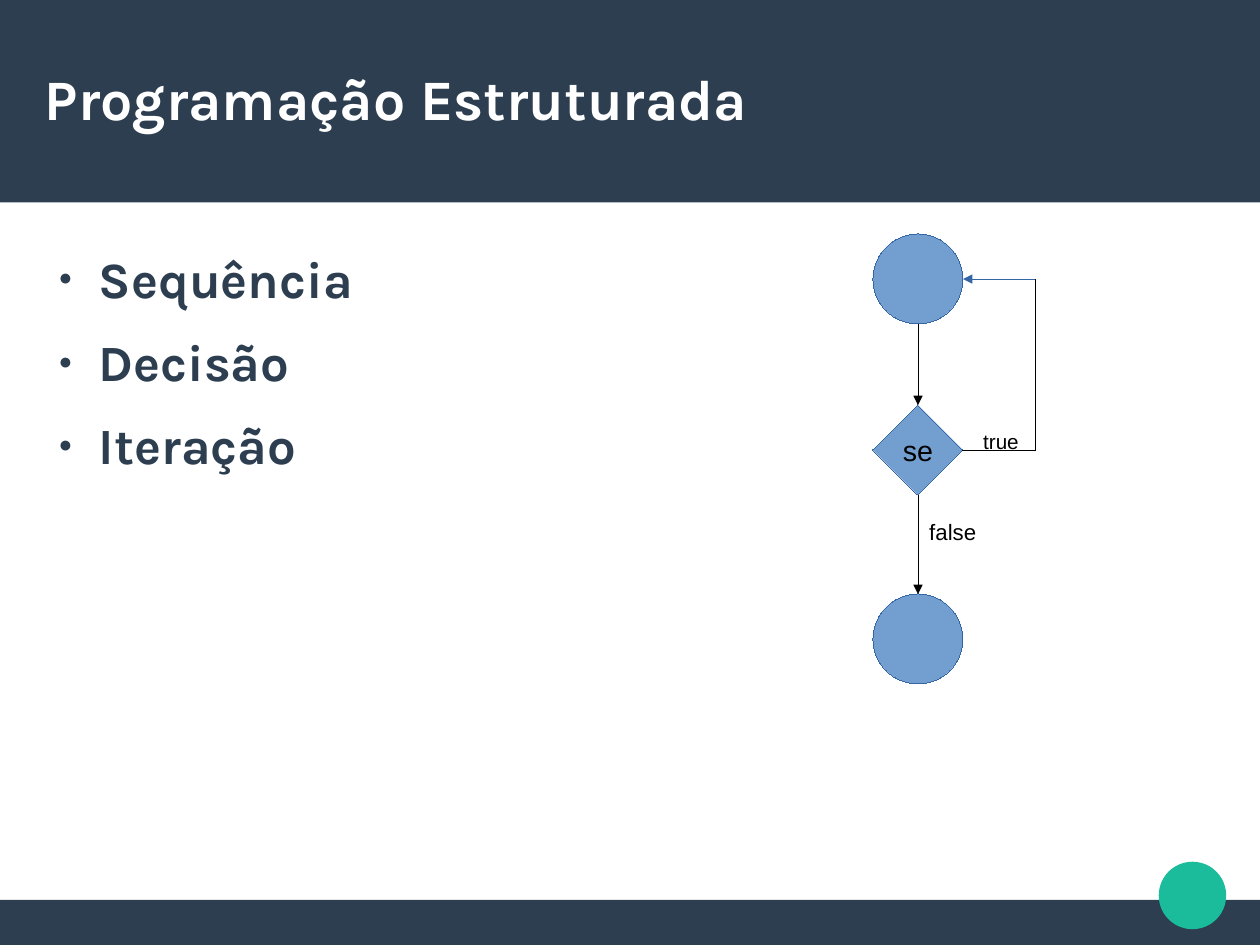
from lxml import etree
from pptx import Presentation
from pptx import util as u
from pptx.dml.color import RGBColor
from pptx.enum import shapes, text
from pptx.oxml.ns import qn

NAVY = RGBColor(0x2C, 0x3E, 0x50)
TEAL = RGBColor(0x1A, 0xBC, 0x9C)
NODE_FILL = RGBColor(0x72, 0x9F, 0xCF)
NODE_LINE = RGBColor(0x34, 0x65, 0xA4)
WHITE = RGBColor(0xFF, 0xFF, 0xFF)
BLACK = RGBColor(0, 0, 0)
COLUMNS, ROWS = 28, 21
CELL = u.Cm(1)
# A width of 0 is not written and falls back to the theme's line
HAIRLINE = u.Emu(1)
SHAPE = shapes.MSO_SHAPE


def cells(*counts):
    return [round(count * CELL) for count in counts]


class FlowSlide:
    heading_font, label_font = "Karla", "Arial"

    def __init__(self, presentation):
        presentation.slide_width, presentation.slide_height = cells(COLUMNS, ROWS)
        self.slide = presentation.slides.add_slide(presentation.slide_layouts[1])

    def style(self, paragraph, name, size, color, bold=False):
        font = paragraph.font
        font.name, font.size, font.bold = name, u.Pt(size), bold
        font.color.rgb = color

    def shape(self, kind, left, top, width, height, fill, outline=None):
        shape = self.slide.shapes.add_shape(kind, *cells(left, top, width, height))
        shape.shadow.inherit = False
        shape.fill.solid()
        shape.fill.fore_color.rgb = fill
        if outline is None:
            shape.line.fill.background()
        else:
            shape.line.color.rgb = outline
            shape.line.width = HAIRLINE
        return shape

    def placeholder(self, index, left, top, width, height, lines, size, color, anchor):
        holder = self.slide.placeholders[index]
        holder.left, holder.top, holder.width, holder.height = cells(left, top, width, height)
        frame = holder.text_frame
        frame.text = "\n".join(lines)
        frame.auto_size = text.MSO_AUTO_SIZE.NONE
        frame.vertical_anchor = anchor
        frame.margin_left = frame.margin_right = frame.margin_top = frame.margin_bottom = 0
        for paragraph in frame.paragraphs:
            paragraph.alignment = text.PP_ALIGN.LEFT
            paragraph.space_before = u.Pt(0)
            if index:
                paragraph.space_after = u.Pt(14.1)
                self.bullet(paragraph, color)
            self.style(paragraph, self.heading_font, size, color, bold=True)
        # Bring the words in front of the bands
        self.slide.shapes.element.append(holder.element)

    def bullet(self, paragraph, color):
        properties = paragraph._p.get_or_add_pPr()
        properties.set("marL", str(u.Inches(0.47)))
        properties.set("indent", str(u.Inches(-0.35)))
        bullet_color = etree.SubElement(properties, qn("a:buClr"))
        etree.SubElement(bullet_color, qn("a:srgbClr"), val=str(color))
        etree.SubElement(properties, qn("a:buSzPct"), val="45000")
        etree.SubElement(properties, qn("a:buChar"), char="●")

    def node_text(self, node, words, size):
        frame = node.text_frame
        frame.word_wrap = False
        frame.vertical_anchor = text.MSO_ANCHOR.MIDDLE
        frame.text = words
        frame.paragraphs[0].alignment = text.PP_ALIGN.CENTER
        self.style(frame.paragraphs[0], self.label_font, size, BLACK)

    def label(self, left, top, width, height, words, size):
        box = self.slide.shapes.add_textbox(*cells(left, top, width, height))
        box.text_frame.word_wrap = True
        box.text_frame.text = words
        self.style(box.text_frame.paragraphs[0], self.label_font, size, BLACK)

    def line(self, start, end, color=BLACK, arrow=False, begin=None, finish=None):
        connector = self.slide.shapes.add_connector(
            shapes.MSO_CONNECTOR.STRAIGHT, *cells(*start, *end))
        connector.line.color.rgb = color
        connector.line.width = HAIRLINE
        if arrow:
            etree.SubElement(connector.line._get_or_add_ln(), qn("a:tailEnd"), type="triangle")
        etree.SubElement(connector._element.spPr, qn("a:effectLst"))
        if begin:
            connector.begin_connect(*begin)
        if finish:
            connector.end_connect(*finish)


def main():
    presentation = Presentation()
    page = FlowSlide(presentation)

    # Bands and corner dot
    page.shape(SHAPE.RECTANGLE, 0, ROWS - 1, COLUMNS, 1, NAVY)
    page.shape(SHAPE.RECTANGLE, 0, 0, COLUMNS, 4.5, NAVY)
    page.shape(SHAPE.OVAL, 25.75, 19.15, 1.5, 1.5, TEAL)

    # Title and list
    page.placeholder(0, 1, 0.84, 26, 2.67, ["Programação Estruturada"], 36, WHITE,
                     text.MSO_ANCHOR.MIDDLE)
    page.placeholder(1, 1, 5.5, 12.67, 14, ["Sequência", "Decisão", "Iteração"], 32, NAVY,
                     text.MSO_ANCHOR.TOP)

    # Flowchart nodes
    size, left = 2, 19.4
    center, right, loop = left + size / 2, left + size, 23
    start_top, decision_top, end_top = 5.2, 9, 13.2
    start_middle, decision_middle = start_top + size / 2, decision_top + size / 2
    start, decision, finish = [
        page.shape(kind, left, top, size, size, NODE_FILL, NODE_LINE)
        for kind, top in ((SHAPE.OVAL, start_top), (SHAPE.DIAMOND, decision_top),
                          (SHAPE.OVAL, end_top))]
    page.node_text(decision, "se", 18)

    # Downward flow
    page.line((center, start_top + size), (center, decision_top), arrow=True,
              finish=(decision, 0))
    page.line((center, decision_top + size), (center, end_top), arrow=True,
              begin=(decision, 2), finish=(finish, 0))

    # Loop back to the start
    page.line((right, decision_middle), (loop, decision_middle), begin=(decision, 3))
    page.line((loop, start_middle), (loop, decision_middle))
    page.line((loop, start_middle), (right, start_middle), NODE_LINE, arrow=True)

    # Branch labels
    page.label(21.6, 9.4, 1.6, 0.76, "true", 13)
    page.label(center, 11.4, 2.6, 0.81, "false", 14)

    presentation.save("out.pptx")


if __name__ == "__main__":
    main()
